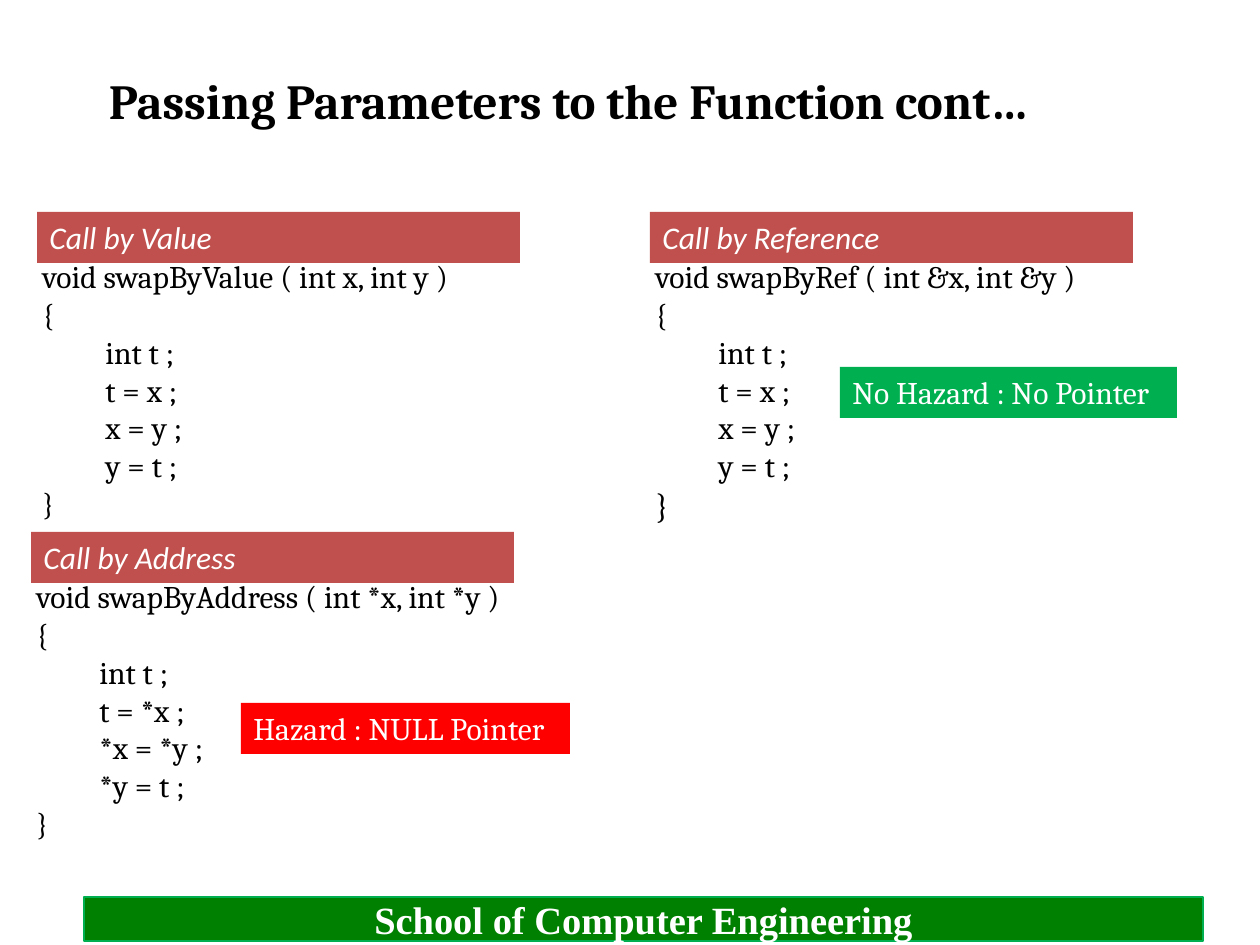
from dataclasses import dataclass

from pptx import Presentation
from pptx.dml.color import RGBColor
from pptx.enum.shapes import MSO_SHAPE
from pptx.enum.text import MSO_ANCHOR, PP_ALIGN
from pptx.util import Pt

EMU_PER_PX = 914400 / 126


@dataclass(frozen=True)
class Theme:
    black: str = "000000"
    white: str = "FFFFFF"
    heading: str = "C0504D"
    hazard: str = "FF0000"
    safe: str = "00B050"
    footer: str = "008000"
    serif: str = "Cambria"
    sans: str = "Calibri"
    footer_font: str = "Times New Roman"
    title_size: int = 28
    footer_size: int = 22
    body_size: int = 18
    large_brace_size: int = 20


theme = Theme()


def px(*lengths):
    """Turn pixel lengths into a list of EMU values."""
    return [round(length * EMU_PER_PX) for length in lengths]


def add_run(paragraph, text, font_name, size, color, bold=False, italic=False):
    run = paragraph.add_run()
    run.text = text
    run.font.name = font_name
    run.font.size = Pt(size)
    run.font.color.rgb = RGBColor.from_string(color)
    run.font.bold = bold
    run.font.italic = italic


presentation = Presentation()
presentation.slide_width, presentation.slide_height = px(1260, 945)
slide = presentation.slides.add_slide(presentation.slide_layouts[5])

# Title
title = slide.shapes.title
title.left, title.top, title.width, title.height = px(7, 32, 1124, 136)
title.text_frame.vertical_anchor = MSO_ANCHOR.MIDDLE
title_paragraph = title.text_frame.paragraphs[0]
title_paragraph.alignment = PP_ALIGN.CENTER
add_run(title_paragraph, "Passing Parameters to the Function cont…",
        theme.serif, theme.title_size, theme.black, bold=True)

# Code listings: left, top, signature, statements, size of the closing brace
listings = [
    (21, 251, "void swapByValue ( int x, int y )",
     ["int t ;", "t = x ;", "x = y ;", "y = t ;"], theme.body_size),
    (634, 251, "void swapByRef ( int &x, int &y )",
     ["int t ;", "t = x ;", "x = y ;", "y = t ;"], theme.large_brace_size),
    (15, 571, "void swapByAddress ( int *x, int *y )",
     ["int t ;", "t = *x ;", "*x = *y ;", "*y = t ;"], theme.body_size),
]
outer_margin, statement_margin, first_line_indent = px(8, 71, 1)
for left, top, signature, statements, brace_size in listings:
    code_box = slide.shapes.add_textbox(*px(left, top, 607, 280))
    frame = code_box.text_frame
    frame.word_wrap = True
    lines = [signature, "{", *statements, "}"]
    for index, line in enumerate(lines):
        paragraph = frame.paragraphs[0] if index == 0 else frame.add_paragraph()
        is_statement = 2 <= index < len(lines) - 1
        paragraph.alignment = PP_ALIGN.JUSTIFY
        paragraph.level = 2 if is_statement else 1
        properties = paragraph._p.get_or_add_pPr()
        properties.set("marL", str(statement_margin if is_statement else outer_margin))
        properties.set("indent", str(first_line_indent))
        size = brace_size if line == "}" else theme.body_size
        add_run(paragraph, line, theme.serif, size, theme.black)

# Headings and remarks: box, fill, text, font, italic, wrap
labels = [
    ((37, 212, 483, 51), theme.heading, "Call by Value", theme.sans, True, True),
    ((650, 212, 483, 51), theme.heading, "Call by Reference", theme.sans, True, True),
    ((31, 532, 483, 51), theme.heading, "Call by Address", theme.sans, True, True),
    ((241, 703, 329, 51), theme.hazard, "Hazard : NULL Pointer", theme.serif, False, False),
    ((840, 367, 337, 51), theme.safe, "No Hazard : No Pointer", theme.serif, False, False),
]
for box, fill, text, font_name, italic, wrap in labels:
    label = slide.shapes.add_shape(MSO_SHAPE.RECTANGLE, *px(*box))
    label.shadow.inherit = False
    label.fill.solid()
    label.fill.fore_color.rgb = RGBColor.from_string(fill)
    label.line.fill.background()
    label.text_frame.word_wrap = wrap
    label.text_frame.vertical_anchor = MSO_ANCHOR.TOP
    paragraph = label.text_frame.paragraphs[0]
    paragraph.alignment = PP_ALIGN.LEFT
    add_run(paragraph, text, font_name, theme.body_size, theme.white, italic=italic)

# Footer
footer = slide.shapes.add_shape(MSO_SHAPE.RECTANGLE, *px(84, 897, 1119, 44))
footer.shadow.inherit = False
footer.fill.solid()
footer.fill.fore_color.rgb = RGBColor.from_string(theme.footer)
footer.line.color.rgb = RGBColor.from_string(theme.safe)
footer.line.width = Pt(0.75)
footer.text_frame.vertical_anchor = MSO_ANCHOR.MIDDLE
footer_paragraph = footer.text_frame.paragraphs[0]
footer_paragraph.alignment = PP_ALIGN.CENTER
add_run(footer_paragraph, "School of Computer Engineering",
        theme.footer_font, theme.footer_size, theme.white, bold=True)

presentation.save("out.pptx")
